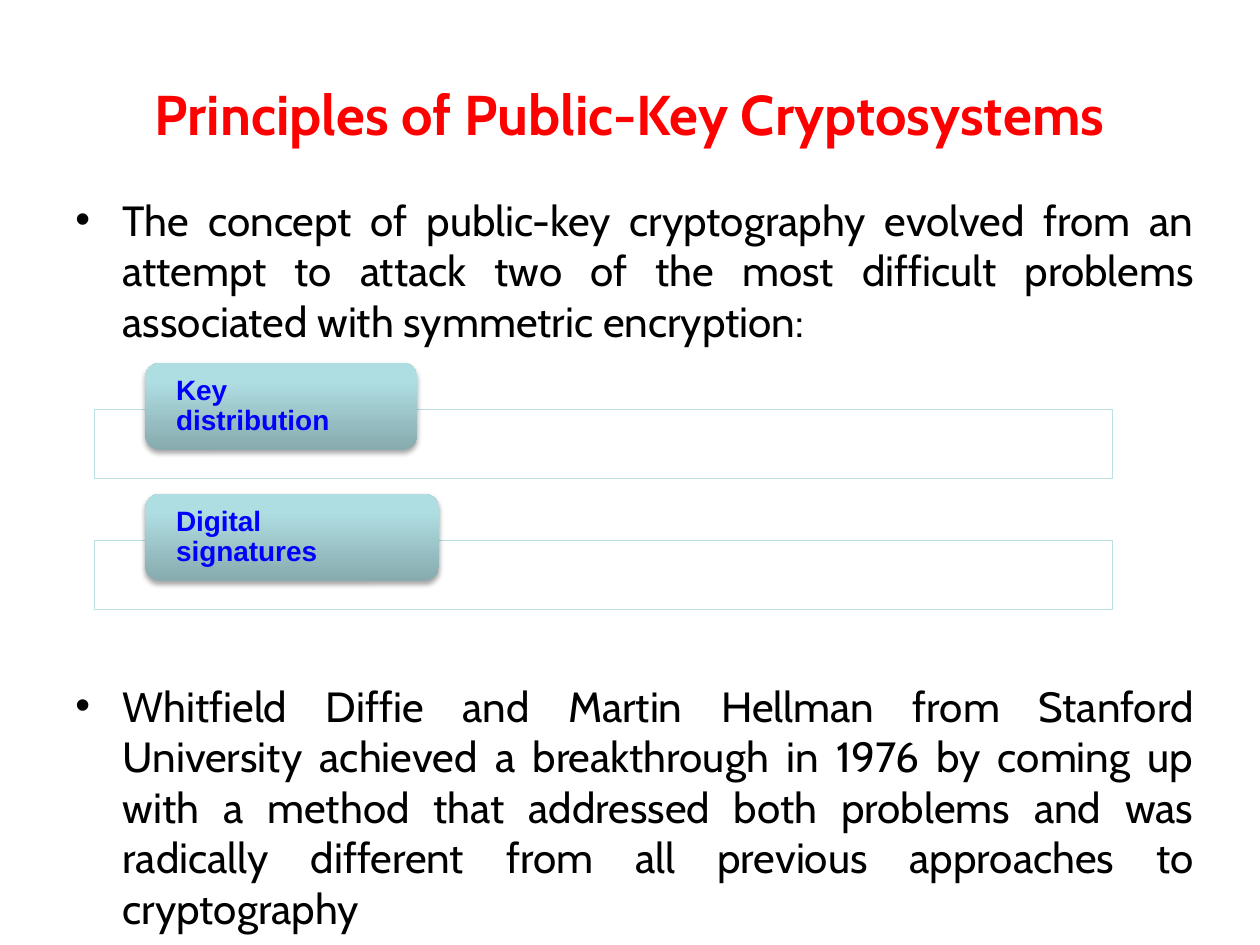
from lxml.etree import SubElement
from pptx import Presentation
from pptx.dml.color import RGBColor
from pptx.enum.shapes import MSO_SHAPE
from pptx.enum.text import MSO_ANCHOR, PP_ALIGN
from pptx.oxml import parse_xml
from pptx.oxml.ns import nsdecls, qn
from pptx.util import Inches, Pt

WIDTH, HEIGHT = Inches(10), Inches(7.5)
COL, ROW = WIDTH / 100, HEIGHT / 75  # grid of 100 columns and 75 rows

COLORS = {
    "title": "FF0000",
    "body": "000000",
    "label": "0000FF",
    "frame": "BBE0E3",
    "white": "FFFFFF",
    "shadow": "000000",
    "tab_bottom": "87ABAE",
    "tab_middle": "AFDEE2",
    "tab_top": "AFE0E4",
}

TITLE = "Principles of Public-Key Cryptosystems"
POINTS = [
    "The concept of public-key cryptography evolved from an attempt to attack "
    "two of the most difficult problems associated with symmetric encryption:",
    "Whitfield Diffie and Martin Hellman from Stanford University achieved a "
    "breakthrough in 1976 by coming up with a method that addressed both "
    "problems and was radically different from all previous approaches to "
    "cryptography",
]
PROBLEMS = [("Key distribution", 21.6), ("Digital signatures", 23.3)]


def grid(left, top, width, height):
    """Turn columns and rows into slide lengths."""
    return [int(n) for n in (left * COL, top * ROW, width * COL, height * ROW)]


def write(p, text, font="Cabin", size=24.1, color="body", bold=False,
          align=PP_ALIGN.LEFT, spacing=None, before=0):
    p.alignment = align
    p.space_before = Pt(before)
    if spacing:
        p.line_spacing = spacing
    r = p.add_run()
    r.text = text
    r.font.name = font
    r.font.size = Pt(size)
    r.font.bold = bold
    r.font.color.rgb = RGBColor.from_string(COLORS[color])


def add_bullet(p, indent):
    pPr = p._p.get_or_add_pPr()
    pPr.set("marL", str(indent))
    pPr.set("indent", str(-indent))
    SubElement(pPr, qn("a:buFont")).set("typeface", "Arial")
    SubElement(pPr, qn("a:buChar")).set("char", "•")


def add_text_frame(s, box):
    tf = s.shapes.add_textbox(*grid(*box)).text_frame
    tf.word_wrap = True
    return tf


def add_title(s, box):
    tf = add_text_frame(s, box)
    tf.vertical_anchor = MSO_ANCHOR.MIDDLE
    write(tf.paragraphs[0], TITLE, size=32, color="title", bold=True,
          align=PP_ALIGN.CENTER, spacing=Pt(50))


def add_points(s, box, gap):
    """Bulleted points, with a gap in points that leaves room for the panels."""
    tf = add_text_frame(s, box)
    for i, text in enumerate(POINTS):
        p = tf.add_paragraph() if i else tf.paragraphs[0]
        add_bullet(p, int(3.75 * COL))
        write(p, text, align=PP_ALIGN.JUSTIFY, before=gap if i else 0)


def style_tab(sp):
    """Vertical gradient and a soft shadow below."""
    stops = [(0, "tab_bottom"), (80, "tab_middle"), (100, "tab_top")]
    gs = "".join(f'<a:gs pos="{pos * 1000}"><a:srgbClr val="{COLORS[name]}"/></a:gs>'
                 for pos, name in stops)
    sp.line.fill.background()
    spPr = sp._element.spPr
    spPr.find(qn("a:ln")).addprevious(parse_xml(
        f'<a:gradFill {nsdecls("a")} rotWithShape="1"><a:gsLst>{gs}</a:gsLst>'
        '<a:lin ang="16200000" scaled="0"/></a:gradFill>'))
    spPr.append(parse_xml(
        f'<a:effectLst {nsdecls("a")}><a:outerShdw blurRad="{Pt(3.1)}" '
        f'dist="{Pt(1.8)}" dir="5400000" rotWithShape="0">'
        f'<a:srgbClr val="{COLORS["shadow"]}"><a:alpha val="35000"/></a:srgbClr>'
        '</a:outerShdw></a:effectLst>'))


def add_panel(s, box, label, tab_width):
    """Empty frame with a labelled tab over its top edge."""
    left, top, width, height = box
    tab_height = 6.9
    frame = s.shapes.add_shape(
        MSO_SHAPE.RECTANGLE, *grid(left, top + 3.7, width, height - 3.7))
    frame.shadow.inherit = False
    frame.fill.solid()
    frame.fill.fore_color.rgb = RGBColor.from_string(COLORS["white"])
    frame.line.color.rgb = RGBColor.from_string(COLORS["frame"])
    frame.line.width = Pt(0.75)

    tab = s.shapes.add_shape(
        MSO_SHAPE.ROUNDED_RECTANGLE,
        *grid(left + width / 20, top, tab_width, tab_height))
    style_tab(tab)
    tf = tab.text_frame
    tf.word_wrap = True
    tf.vertical_anchor = MSO_ANCHOR.MIDDLE
    tf.margin_left = tf.margin_right = int(2.1 * COL)
    tf.margin_top = tf.margin_bottom = 0
    write(tf.paragraphs[0], label, font="Arial", size=16, color="label",
          bold=True, spacing=0.9)


def add_problems(s, box):
    left, top, width, height = box
    pitch = 10.4
    for i, (label, tab_width) in enumerate(PROBLEMS):
        add_panel(s, (left, top + i * pitch, width, height - pitch),
                  label, tab_width)


def main():
    prs = Presentation()
    prs.slide_width, prs.slide_height = WIDTH, HEIGHT
    s = prs.slides.add_slide(prs.slide_layouts[6])
    add_points(s, (5, 14.9, 90.8, 60), gap=191)
    add_title(s, (0, 0.4, 100, 15.5))
    add_problems(s, (7.5, 28.8, 80.8, 19.6))
    prs.save("out.pptx")


if __name__ == "__main__":
    main()
